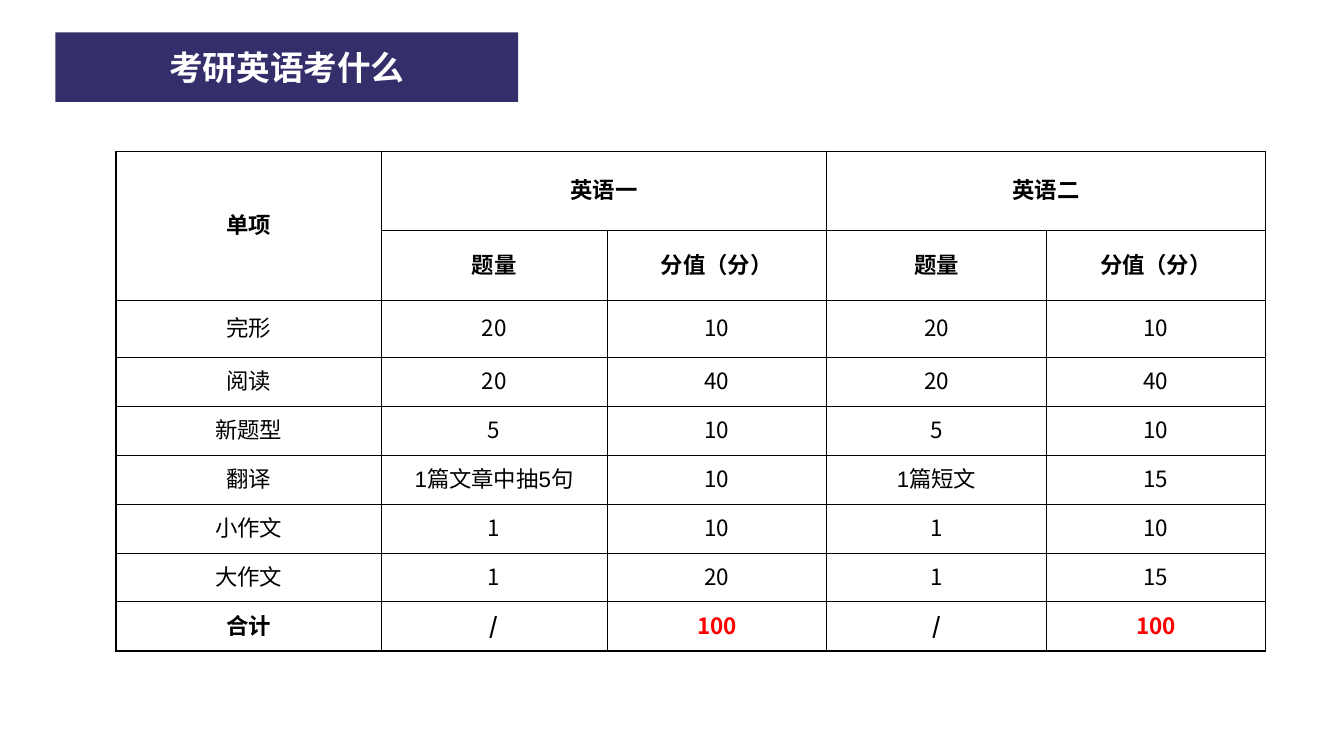
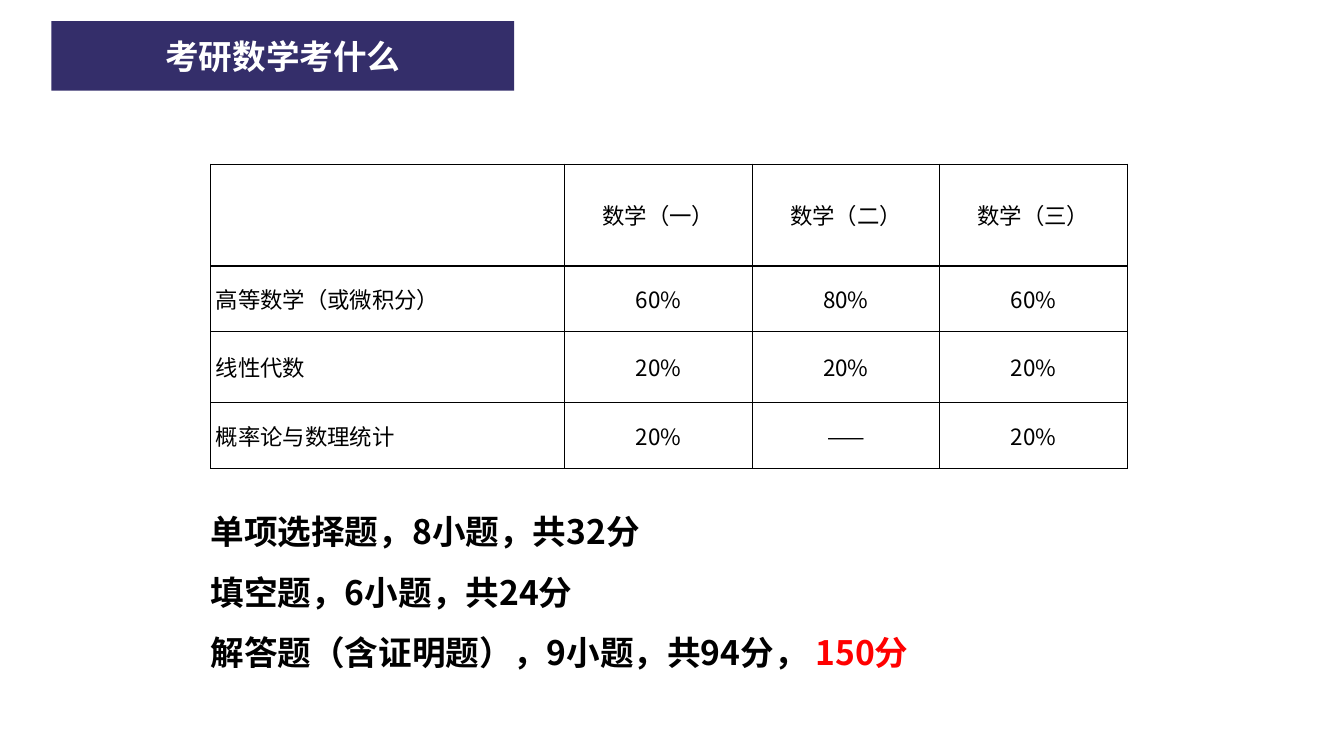
from pptx import Presentation
from pptx.dml.color import RGBColor
from pptx.enum.text import MSO_ANCHOR, PP_ALIGN
from pptx.oxml import parse_xml
from pptx.oxml.ns import nsdecls
from pptx.util import Inches, Pt

SANS = "Noto Sans CJK SC"
LATIN = "Arial"
NAVY = "342E6A"
BLACK = "000000"
WHITE = "FFFFFF"
RED = "FF0000"


def color(value):
    return RGBColor.from_string(value)


class SlideWriter:
    def __init__(self):
        self.deck = Presentation()
        self.deck.slide_width = Inches(13.33)
        self.deck.slide_height = Inches(7.5)
        self.page = None

    def add_page(self, title, left, top):
        self.page = self.deck.slides.add_slide(self.deck.slide_layouts[5])
        banner = self.page.shapes.title
        banner.left, banner.top = Inches(left), Inches(top)
        banner.width, banner.height = Inches(4.59), Inches(0.69)
        outline = parse_xml(
            f'<a:prstGeom {nsdecls("a")} prst="roundRect"><a:avLst/></a:prstGeom>'
        )
        banner.element.spPr.append(outline)
        banner.fill.solid()
        banner.fill.fore_color.rgb = color(NAVY)
        frame = banner.text_frame
        frame.vertical_anchor = MSO_ANCHOR.MIDDLE
        para = frame.paragraphs[0]
        para.alignment = PP_ALIGN.CENTER
        self.add_span(para, title, 24, WHITE, True)

    def add_span(self, para, text, size, ink=BLACK, bold=False, font=SANS):
        span = para.add_run()
        span.text = text
        span.font.size = Pt(size)
        span.font.bold = bold
        span.font.name = font
        span.font.color.rgb = color(ink)
        span.font._element.append(
            parse_xml(f'<a:ea {nsdecls("a")} typeface="{SANS}"/>')
        )

    def add_grid(self, left, top, widths, heights):
        frame = self.page.shapes.add_table(
            len(heights), len(widths), Inches(left), Inches(top),
            Inches(sum(widths)), Inches(sum(heights)),
        )
        table = frame.table
        table.first_row = table.horz_banding = False
        for column, width in zip(table.columns, widths):
            column.width = Inches(width)
        for row, height in zip(table.rows, heights):
            row.height = Inches(height)
        return table

    def fill_grid(self, table, rows, inner, margins, bold_rows=(),
                  label_font=SANS, label_align=PP_ALIGN.CENTER, label_indent=0.01):
        last_row, last_column = len(rows) - 1, len(rows[0]) - 1
        for r, row in enumerate(rows):
            for c, text in enumerate(row):
                cell = table.cell(r, c)
                edges = {"L": c == 0, "R": c == last_column,
                         "T": r == 0, "B": r == last_row}
                self.style_cell(cell, edges, inner, margins)
                if not text:
                    continue
                para = cell.text_frame.paragraphs[0]
                para.alignment = PP_ALIGN.CENTER if c else label_align
                if c == 0:
                    cell.margin_left = Inches(label_indent)
                ink = RED if text == "100" else BLACK
                font = SANS if text.isascii() else label_font
                self.add_span(para, text, 16, ink, r in bold_rows, font)

    def style_cell(self, cell, edges, inner, margins):
        properties = cell._tc.get_or_add_tcPr()
        for side, outer in edges.items():
            width = Pt(1 if outer else inner)
            properties.append(parse_xml(
                f'<a:ln{side} {nsdecls("a")} w="{width}"><a:solidFill>'
                f'<a:srgbClr val="{BLACK}"/></a:solidFill></a:ln{side}>'
            ))
        cell.fill.background()
        cell.vertical_anchor = MSO_ANCHOR.MIDDLE
        side_margin, bottom_margin = margins
        cell.margin_left = cell.margin_right = cell.margin_top = Inches(side_margin)
        cell.margin_bottom = Inches(bottom_margin)

    def add_lines(self, left, top, width, height, lines):
        box = self.page.shapes.add_textbox(
            Inches(left), Inches(top), Inches(width), Inches(height)
        )
        frame = box.text_frame
        frame.word_wrap = True
        for index, spans in enumerate(lines):
            para = frame.add_paragraph() if index else frame.paragraphs[0]
            para.line_spacing = 1.5
            for text, ink in spans:
                self.add_span(para, text, 24, ink, True)


def build_english(writer):
    writer.add_page("考研英语考什么", 0.55, 0.32)
    table = writer.add_grid(
        1.15, 1.5, [2.63, 2.24, 2.18, 2.18, 2.17],
        [0.79, 0.69, 0.57] + [0.48, 0.49] * 3,
    )
    for start, end in (((0, 0), (1, 0)), ((0, 1), (0, 2)), ((0, 3), (0, 4))):
        table.cell(*start).merge(table.cell(*end))
    rows = [
        ["单项", "英语一", "", "英语二", ""],
        [""] + ["题量", "分值（分）"] * 2,
        ["完形", "20", "10", "20", "10"],
        ["阅读", "20", "40", "20", "40"],
        ["新题型", "5", "10", "5", "10"],
        ["翻译", "1篇文章中抽5句", "10", "1篇短文", "15"],
        ["小作文", "1", "10", "1", "10"],
        ["大作文", "1", "20", "1", "15"],
        ["合计", "/", "100", "/", "100"],
    ]
    writer.fill_grid(table, rows, 0.5, (0.01, 0.05), (0, 1, 8), LATIN)


def build_maths(writer):
    writer.add_page("考研数学考什么", 0.51, 0.21)
    table = writer.add_grid(
        2.09, 1.63, [3.51] + [1.86] * 3, [1.01, 0.65, 0.7, 0.66]
    )
    rows = [
        ["", "数学（一）", "数学（二）", "数学（三）"],
        ["高等数学（或微积分）", "60%", "80%", "60%"],
        ["线性代数", "20%", "20%", "20%"],
        ["概率论与数理统计", "20%", "——", "20%"],
    ]
    writer.fill_grid(table, rows, 1, (0, 0), label_align=PP_ALIGN.LEFT,
                     label_indent=0.05)
    writer.add_lines(1.99, 4.82, 7.27, 2.45, [
        [("单项选择题，8小题，共32分", BLACK)],
        [("填空题，6小题，共24分", BLACK)],
        [("解答题（含证明题），9小题，共94分， ", BLACK), ("150分", RED)],
    ])


def main():
    writer = SlideWriter()
    build_english(writer)
    build_maths(writer)
    writer.deck.save("out.pptx")


if __name__ == "__main__":
    main()
